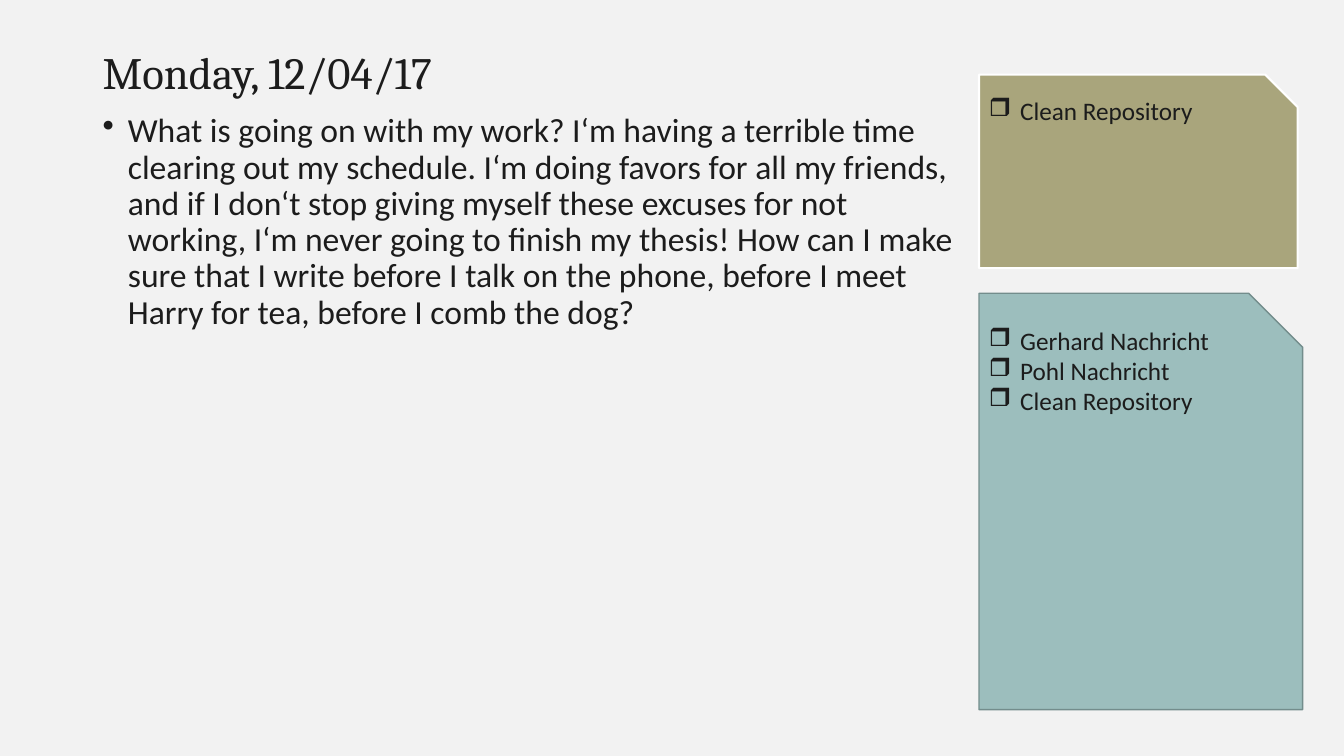
from dataclasses import dataclass

from lxml.etree import SubElement
from pptx import Presentation
from pptx.dml.color import RGBColor
from pptx.enum.shapes import MSO_SHAPE as Preset
from pptx.enum.text import MSO_ANCHOR as Anchor, PP_ALIGN as Align
from pptx.oxml.ns import qn
from pptx.util import Inches, Pt


@dataclass(frozen=True)
class Theme:
    background: str = "F2F2F2"
    ink: str = "1C1C1C"
    olive: str = "A9A57C"
    olive_edge: str = "FFFFFF"
    teal: str = "9CBEBD"
    teal_edge: str = "738D8C"
    heading_font: str = "Cambria"
    body_font: str = "Calibri"
    title_size: int = 32
    body_size: int = 24
    task_size: int = 18


class JournalPage:
    def __init__(self, slide, theme):
        self.slide = slide
        self.theme = theme
        background = slide.background.fill
        background.solid()
        background.fore_color.rgb = RGBColor.from_string(theme.background)

    def add_run(self, paragraph, text, font, size):
        paragraph.alignment = Align.LEFT
        run = paragraph.add_run()
        run.text = text
        run.font.name = font
        run.font.size = Pt(size)
        run.font.color.rgb = RGBColor.from_string(self.theme.ink)

    def add_bullet(self, paragraph, character, indent):
        properties = paragraph._p.get_or_add_pPr()
        properties.set("marL", str(Inches(indent)))
        properties.set("indent", str(-Inches(indent)))
        SubElement(properties, qn("a:buChar"), char=character)

    def add_text(self, box, text, font, size, anchor=Anchor.TOP):
        frame = self.slide.shapes.add_textbox(*map(Inches, box)).text_frame
        frame.word_wrap = True
        frame.vertical_anchor = anchor
        paragraph = frame.paragraphs[0]
        paragraph.line_spacing = 0.9
        self.add_run(paragraph, text, font, size)
        return paragraph

    def add_title(self, box, text):
        self.add_text(box, text, self.theme.heading_font, self.theme.title_size, Anchor.MIDDLE)

    def add_entry(self, box, text):
        paragraph = self.add_text(box, text, self.theme.body_font, self.theme.body_size)
        paragraph.space_before = Pt(10)
        self.add_bullet(paragraph, "•", 0.25)

    def add_task_card(self, box, fill, edge, edge_width, tasks):
        card = self.slide.shapes.add_shape(Preset.SNIP_1_RECTANGLE, *map(Inches, box))
        card.shadow.inherit = False
        card.fill.solid()
        card.fill.fore_color.rgb = RGBColor.from_string(fill)
        card.line.color.rgb = RGBColor.from_string(edge)
        card.line.width = Pt(edge_width)
        frame = card.text_frame
        frame.word_wrap = True
        frame.vertical_anchor = Anchor.TOP
        for index, task in enumerate(tasks):
            paragraph = frame.add_paragraph() if index else frame.paragraphs[0]
            self.add_run(paragraph, task, self.theme.body_font, self.theme.task_size)
            self.add_bullet(paragraph, "❒", 0.31)


presentation = Presentation()
presentation.slide_width = Inches(13.33)
presentation.slide_height = Inches(7.5)
theme = Theme()
page = JournalPage(presentation.slides.add_slide(presentation.slide_layouts[6]), theme)

page.add_title((0.92, 0.4, 11.5, 0.68), "Monday, 12/04/17")
page.add_entry(
    (0.92, 1.08, 8.67, 5.68),
    "What is going on with my work? I‘m having a terrible time clearing out my schedule. "
    "I‘m doing favors for all my friends, and if I don‘t stop giving myself these excuses "
    "for not working, I‘m never going to finish my thesis! How can I make sure that I write "
    "before I talk on the phone, before I meet Harry for tea, before I comb the dog?",
)
page.add_task_card(
    (9.71, 2.91, 3.21, 4.13), theme.teal, theme.teal_edge, 1,
    ["Gerhard Nachricht", "Pohl Nachricht", "Clean Repository"],
)
page.add_task_card(
    (9.71, 0.74, 3.16, 1.92), theme.olive, theme.olive_edge, 1.5,
    ["Clean Repository"],
)

presentation.save("out.pptx")
